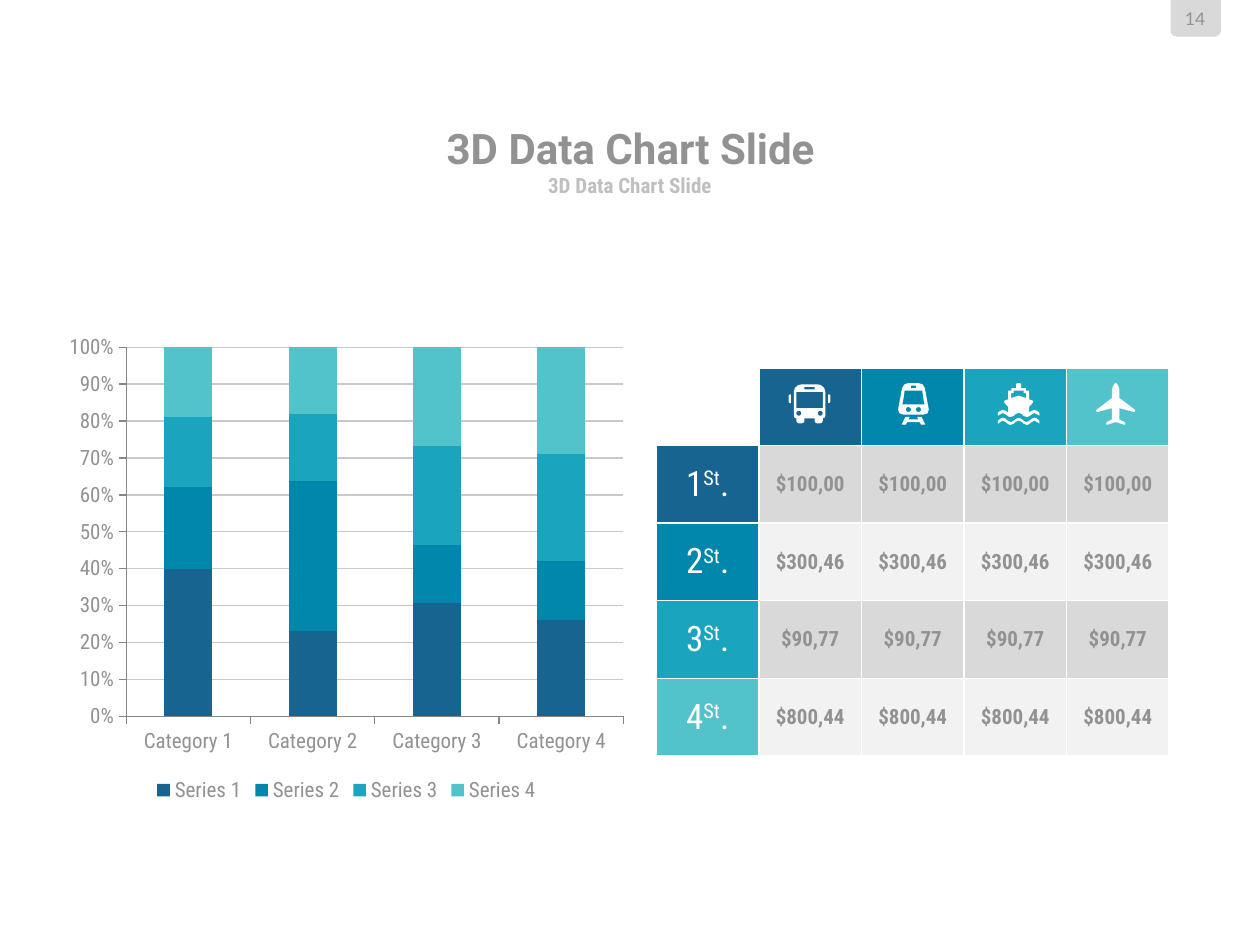
from math import cos, pi, sin

from lxml.etree import SubElement
from pptx import Presentation
from pptx.chart.data import CategoryChartData
from pptx.dml.color import RGBColor
from pptx.enum.chart import XL_CHART_TYPE as ChartType
from pptx.enum.chart import XL_LEGEND_POSITION as LegendPosition
from pptx.enum.chart import XL_TICK_MARK as TickMark
from pptx.enum.shapes import MSO_SHAPE as Shape
from pptx.enum.text import MSO_ANCHOR as Anchor
from pptx.enum.text import MSO_AUTO_SIZE as AutoSize
from pptx.enum.text import PP_ALIGN as Align
from pptx.oxml.ns import qn
from pptx.util import Inches, Pt

WHITE = RGBColor(0xFF, 0xFF, 0xFF)
GRAY = RGBColor(0x92, 0x92, 0x92)
SOFT_GRAY = RGBColor(0xBF, 0xBF, 0xBF)
GRID_GRAY = RGBColor(0xC9, 0xC9, 0xC9)
AXIS_GRAY = RGBColor(0x86, 0x86, 0x86)
DARK_ROW = RGBColor(0xD9, 0xD9, 0xD9)
LIGHT_ROW = RGBColor(0xF2, 0xF2, 0xF2)
NAVY = RGBColor(0x17, 0x64, 0x90)
BLUE = RGBColor(0x01, 0x87, 0xAC)
TEAL = RGBColor(0x1A, 0xA4, 0xBE)
AQUA = RGBColor(0x52, 0xC3, 0xCB)
ACCENTS = (NAVY, BLUE, TEAL, AQUA)
CONDENSED = "Roboto Condensed"

CATEGORIES = [f"Category {number}" for number in range(1, 5)]
SERIES = ((40, 23, 31, 26), (22, 40, 16, 16), (19, 18, 27, 29), (19, 18, 27, 29))
PRICES = ("$100,00", "$300,46", "$90,77", "$800,44")


def mirrored(*half):
    return [*half, *((-x, y) for x, y in reversed(half))]


def circle(x, y, radius, steps=16):
    angles = [2 * pi * step / steps for step in range(steps)]
    return [(x + radius * cos(angle), y + radius * sin(angle)) for angle in angles]


def flipped(points):
    return [(-x, y) for x, y in points]


BUS_MIRROR = [(14.7, 13), (15.7, 13), (16.5, 14), (16.5, 19), (15.7, 20), (14.7, 20)]
BUS_BODY = [
    mirrored((0, 5), (6, 5), (9, 5.6), (11.6, 7.9), (12.5, 11), (12.5, 30), (12, 31.5),
             (10.5, 32), (10.5, 34), (9.9, 35.4), (8.5, 36), (6, 36), (4.6, 35.4),
             (4, 34), (4, 32), (0, 32)),
    mirrored((0, 7), (4, 7), (4, 9), (0, 9)),
    mirrored((0, 11), (10.5, 11), (10.5, 24), (0, 24)),
    circle(-8.5, 28, 2), circle(8.5, 28, 2),
]
TRAIN_BODY = [
    mirrored((0, 4), (4, 4), (7.2, 5), (9, 8), (12.2, 25), (11.2, 28), (8, 29), (0, 29)),
    mirrored((0, 6), (2, 6), (2, 8), (0, 8)),
    mirrored((0, 10), (7, 10), (8, 17), (8.8, 21), (0, 21)),
    circle(-4, 25, 2), circle(4, 25, 2),
]
TRAIN_RAILS = mirrored((4, 33), (3, 31), (6.5, 31), (9.3, 37), (6, 37), (5, 35))
SHIP_HULL = [
    mirrored((0, 4), (1.2, 4), (2, 5), (2, 8), (5.8, 8), (5.8, 10), (8.3, 10), (8.3, 17),
             (11.2, 18), (11.5, 19), (11, 20), (8.3, 23), (8.3, 27.5), (10.5, 26),
             (12.5, 25.5), (14.5, 26), (16.5, 27.5), (16.5, 30), (15, 29), (12.5, 27.8),
             (9.8, 29.3), (8, 30.6), (6.5, 31), (4, 30.2), (2.3, 28.5), (0, 27.7)),
    mirrored((0, 10), (4, 10), (4, 12), (6, 12), (6, 16), (0, 14)),
]
SHIP_WAVE = mirrored(
    (0, 31.8), (2, 32.3), (4, 34), (6, 35), (8, 34.3), (10.5, 32.3), (12.5, 31.5),
    (14.5, 32.2), (16.5, 34), (16.5, 36.3), (15, 35.2), (12.5, 33.8), (9.8, 35.4),
    (8, 36.8), (6.5, 37.2), (4, 36.3), (2.3, 34.7), (0, 33.8))
PLANE = mirrored(
    (0, 4), (1.2, 4.8), (2.5, 7.5), (3, 10), (3, 16), (15, 25), (15.5, 26), (15, 27),
    (14.5, 27), (3, 24), (3, 33), (7, 35), (7.6, 36), (7.3, 37), (6.5, 37), (0, 35))
ICONS = (
    (64.25, ([BUS_MIRROR], BUS_BODY, [flipped(BUS_MIRROR)])),
    (72.5, (TRAIN_BODY, [TRAIN_RAILS])),
    (80.85, ([SHIP_WAVE], SHIP_HULL)),
    (88.55, ([PLANE],)),
)


class SlideBuilder:
    """Draws styled elements on a slide divided into 100 columns and 75 rows."""

    def __init__(self, deck):
        self.slide = deck.slides.add_slide(deck.slide_layouts[2])
        self.shapes = self.slide.shapes
        self.column = deck.slide_width / 100
        self.row = deck.slide_height / 75

    def box(self, left, top, width, height):
        return (round(left * self.column), round(top * self.row),
                round(width * self.column), round(height * self.row))

    def style(self, run, size, color, name=CONDENSED, bold=False):
        run.font.size, run.font.name, run.font.bold = Pt(size), name, bold
        run.font.color.rgb = color

    def text(self, holder, words, box, size, color, name, bold=False):
        holder.left, holder.top, holder.width, holder.height = self.box(*box)
        frame = holder.text_frame
        frame.text = words
        frame.auto_size, frame.word_wrap = AutoSize.NONE, False
        frame.vertical_anchor = Anchor.MIDDLE
        frame.margin_left = frame.margin_right = frame.margin_top = frame.margin_bottom = 0
        line = frame.paragraphs[0]
        line.alignment, line.space_before = Align.CENTER, Pt(0)
        self.style(line.runs[0], size, color, name, bold)
        line.runs[0].font._element.set("cap", "none")

    def page_number(self, words):
        tab = self.shapes.add_shape(Shape.ROUND_2_SAME_RECTANGLE, *self.box(92.9, 0, 4, 2.9))
        tab.rotation = 180
        self.paint(tab, DARK_ROW)
        label_box = (93.2, 0.6, 3.3, 1.7)
        label = self.shapes.add_textbox(*self.box(*label_box))
        self.text(label, words, label_box, 10, GRAY, "Lato")

    def paint(self, shape, color):
        shape.shadow.inherit = False
        shape.fill.solid()
        shape.fill.fore_color.rgb = color
        shape.line.fill.background()

    def chart(self, box):
        data = CategoryChartData()
        data.categories = CATEGORIES
        for number, values in enumerate(SERIES, 1):
            data.add_series(f"Series {number}", values)
        chart = self.shapes.add_chart(ChartType.COLUMN_STACKED_100, *self.box(*box), data).chart
        chart.font.size, chart.font.name = Pt(12), CONDENSED
        chart.font.color.rgb = GRAY
        chart.has_title = False
        chart.has_legend = True
        chart.legend.position = LegendPosition.BOTTOM
        chart.legend.include_in_layout = False
        chart.legend.font.size = Pt(12)
        plot = chart.plots[0]
        plot.gap_width, plot.overlap, plot.vary_by_categories = 159, 100, False
        for series, color in zip(plot.series, ACCENTS):
            series.format.fill.solid()
            series.format.fill.fore_color.rgb = color
        for axis in (chart.category_axis, chart.value_axis):
            axis.major_tick_mark, axis.minor_tick_mark = TickMark.OUTSIDE, TickMark.NONE
            axis.tick_labels.font.size = Pt(12)
            axis.format.line.color.rgb = AXIS_GRAY
        labels = chart.value_axis.tick_labels
        labels.number_format, labels.number_format_is_linked = "0%", False
        grid = chart.value_axis.major_gridlines.format.line
        grid.color.rgb, grid.width = GRID_GRAY, Pt(0.75)

    def cell(self, cell, color=None, parts=(), size=12, ink=GRAY, bold=False):
        properties = cell._tc.get_or_add_tcPr()
        for side in "LRTB" if color else "":
            border = SubElement(properties, qn(f"a:ln{side}"), w=str(Pt(1)))
            SubElement(SubElement(border, qn("a:solidFill")), qn("a:srgbClr"), val=str(WHITE))
        if color:
            cell.fill.solid()
            cell.fill.fore_color.rgb = color
        else:
            cell.fill.background()
        cell.vertical_anchor = Anchor.MIDDLE
        line = cell.text_frame.paragraphs[0]
        line.alignment = Align.CENTER
        for words in parts:
            run = line.add_run()
            run.text = words
            self.style(run, size, ink, bold=bold)
            if words == "St":
                run.font._element.set("baseline", "30000")

    def table(self, box):
        table = self.shapes.add_table(5, 5, *self.box(*box)).table
        table.first_row = table.horz_banding = False
        self.cell(table.cell(0, 0))
        for index, (color, price) in enumerate(zip(ACCENTS, PRICES), 1):
            self.cell(table.cell(0, index), color)
            self.cell(table.cell(index, 0), color, (str(index), "St", "."), 20, WHITE)
            for column in range(1, 5):
                band = DARK_ROW if index % 2 else LIGHT_ROW
                self.cell(table.cell(index, column), band, (price,), bold=True)

    def icon_part(self, center, top, contours):
        unit = self.column / 1000
        scaled = [[(x * 100, y * 100) for x, y in contour] for contour in contours]
        builder = self.shapes.build_freeform(*scaled[0][0], scale=unit)
        for contour in scaled:
            builder.move_to(*contour[0])
            builder.add_line_segments(contour[1:], close=True)
        left, top, _, _ = self.box(center, top, 0, 0)
        self.paint(builder.convert_to_shape(left, top), WHITE)


def main():
    deck = Presentation()
    deck.slide_width, deck.slide_height = Inches(10), Inches(7.5)
    page = SlideBuilder(deck)
    title, subtitle = page.slide.placeholders
    heading = "3D Data Chart Slide"
    page.page_number("14")
    page.text(title, heading, (19.2, 9.8, 61.7, 3.9), 24, GRAY, "Roboto", True)
    page.text(subtitle, heading, (27.5, 13.6, 45, 2.2), 12, SOFT_GRAY, CONDENSED, True)
    page.chart((4.6, 25.8, 45.8, 38.3))
    page.table((52.1, 29.2, 40.7, 30.8))
    for center, parts in ICONS:
        for contours in parts:
            page.icon_part(center, 30, contours)
    deck.save("out.pptx")


if __name__ == "__main__":
    main()
